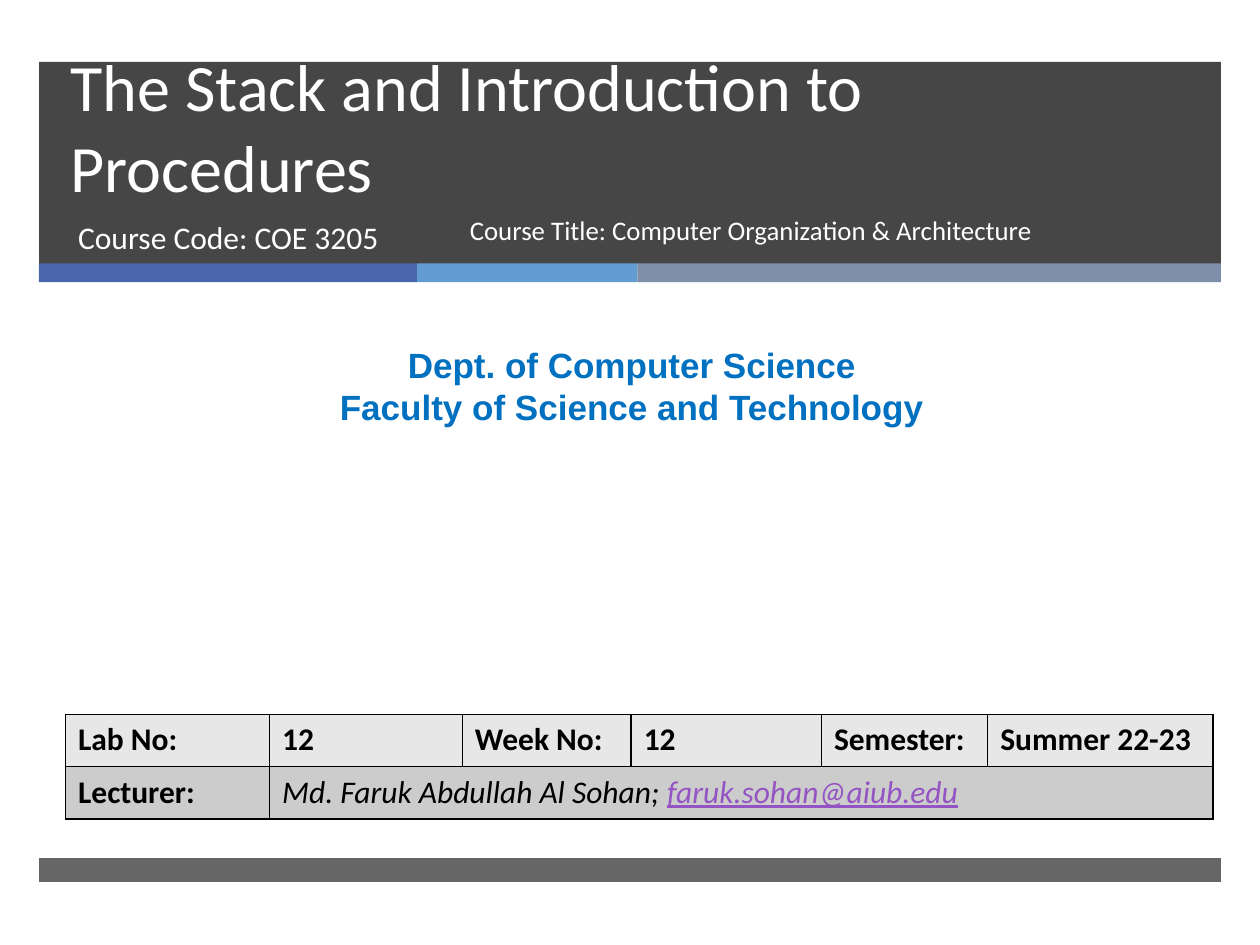
from lxml import etree
from pptx import Presentation
from pptx import util as u
from pptx.dml.color import RGBColor
from pptx.enum import shapes, text
from pptx.oxml.ns import qn

WIDE, HIGH = 10, 7.5
WHITE, BLACK, DARK = "FFFFFF", "000000", "262626"
LEFT, SPAN = 0.31, 9.38  # shared edges of header and footer


def color(code):
    return RGBColor.from_string(code)


def inches(box):
    return [u.Inches(n) for n in box]


def style(run, size, code, face="Calibri", bold=False, italic=False):
    font = run.font
    font.size, font.name = u.Pt(size), face
    font.bold, font.italic = bold, italic
    font.color.rgb = color(code)


def write(shape, lines, size, code, face="Calibri", bold=False,
          align=text.PP_ALIGN.LEFT, anchor=text.MSO_ANCHOR.TOP, space=None):
    frame = shape.text_frame
    frame.text = "\n".join(lines)
    frame.word_wrap = True
    frame.auto_size = text.MSO_AUTO_SIZE.NONE
    frame.vertical_anchor = anchor
    for para in frame.paragraphs:
        para.alignment = align
        para.space_before = u.Pt(0)
        if space:
            para.line_spacing = space
        for run in para.runs:
            style(run, size, code, face, bold)


def bar(slide, box, code, alpha=None):
    shape = slide.shapes.add_shape(shapes.MSO_SHAPE.RECTANGLE, *inches(box))
    shape.shadow.inherit = False
    shape.fill.solid()
    shape.fill.fore_color.rgb = color(code)
    shape.line.fill.background()
    if alpha:
        tint = shape.fill._xPr.find(".//" + qn("a:srgbClr"))
        etree.SubElement(tint, qn("a:alpha"), val=str(alpha * 1000))


def place(slide, holder, box):
    holder.left, holder.top, holder.width, holder.height = inches(box)
    slide.shapes._spTree.append(holder._element)  # bring above the bars


def header(slide, box):
    left, top, width, height = box
    bar(slide, box, DARK, 85)
    # Colour strip under the dark block
    edge = left
    for part, code in ((3, "4A66AC"), (1.75, "629DD1"), (4.63, "7F8FA9")):
        bar(slide, (edge, top + height - 0.01, part, 0.15), code)
        edge += part
    # Title and course lines
    base = top + 1.19
    title, course = slide.shapes.title, slide.placeholders[1]
    place(slide, title, (left + 0.15, top, 8.54, 1.19))
    write(title, ["The Stack and Introduction to Procedures"], 37.8, WHITE,
          anchor=text.MSO_ANCHOR.BOTTOM, space=u.Pt(46))
    place(slide, course, (left + 0.21, base, 3.05, 0.53))
    write(course, ["Course Code: COE 3205"], 18, WHITE)
    name = slide.shapes.add_textbox(*inches((left + 3.32, base, 4.69, 0.53)))
    write(name, ["Course Title: Computer Organization & Architecture"],
          15.3, WHITE, space=0.9)


def dept(slide, box):
    shape = slide.shapes.add_textbox(*inches(box))
    write(shape, ["Dept. of Computer Science",
                  "Faculty of Science and Technology"],
          20, "0070C0", "Arial", True, text.PP_ALIGN.CENTER)


def border(cell):
    props = cell._tc.get_or_add_tcPr()
    for n, side in enumerate(("lnL", "lnR", "lnT", "lnB")):
        line = etree.Element(qn("a:" + side), w=str(u.Pt(1)))
        fill = etree.SubElement(line, qn("a:solidFill"))
        etree.SubElement(fill, qn("a:srgbClr"), val=BLACK)
        props.insert(n, line)  # borders come before the fill


def details(slide, box):
    cols = (1.62, 1.53, 1.34, 1.51, 1.32, 1.79)
    rows = (("Lab No:", "12", "Week No:", "12", "Semester:", "Summer 22-23"),
            ("Lecturer:",))
    table = slide.shapes.add_table(len(rows), len(cols), *inches(box)).table
    table.first_row = table.horz_banding = False
    for col, width in zip(table.columns, cols):
        col.width = u.Inches(width)
    for r, (words, code) in enumerate(zip(rows, ("E7E7E7", "CCCCCC"))):
        for c in range(len(cols)):
            cell = table.cell(r, c)
            cell.fill.solid()
            cell.fill.fore_color.rgb = color(code)
            border(cell)
            if c < len(words):
                cell.text_frame.text = words[c]
                style(cell.text_frame.paragraphs[0].runs[0], 18, BLACK,
                      bold=True)
    # Lecturer name and address across the rest of the row
    wide = table.cell(1, 1)
    wide.merge(table.cell(1, len(cols) - 1))
    para = wide.text_frame.paragraphs[0]
    for words, code in (("Md. Faruk Abdullah Al Sohan; ", BLACK),
                        ("faruk.sohan@aiub.edu", "9454C3")):
        run = para.add_run()
        run.text = words
        style(run, 18, code, italic=True)
    run.font.underline = True


def main():
    deck = Presentation()
    deck.slide_width, deck.slide_height = inches((WIDE, HIGH))
    slide = deck.slides.add_slide(deck.slide_layouts[0])
    header(slide, (LEFT, 0.49, SPAN, 1.61))
    bar(slide, (LEFT, 6.81, SPAN, 0.19), DARK, 70)  # footer
    dept(slide, (0.08, 2.68, 9.87, 0.77))
    details(slide, (0.52, 5.67, 9.12, 0.83))
    deck.save("out.pptx")


if __name__ == "__main__":
    main()
